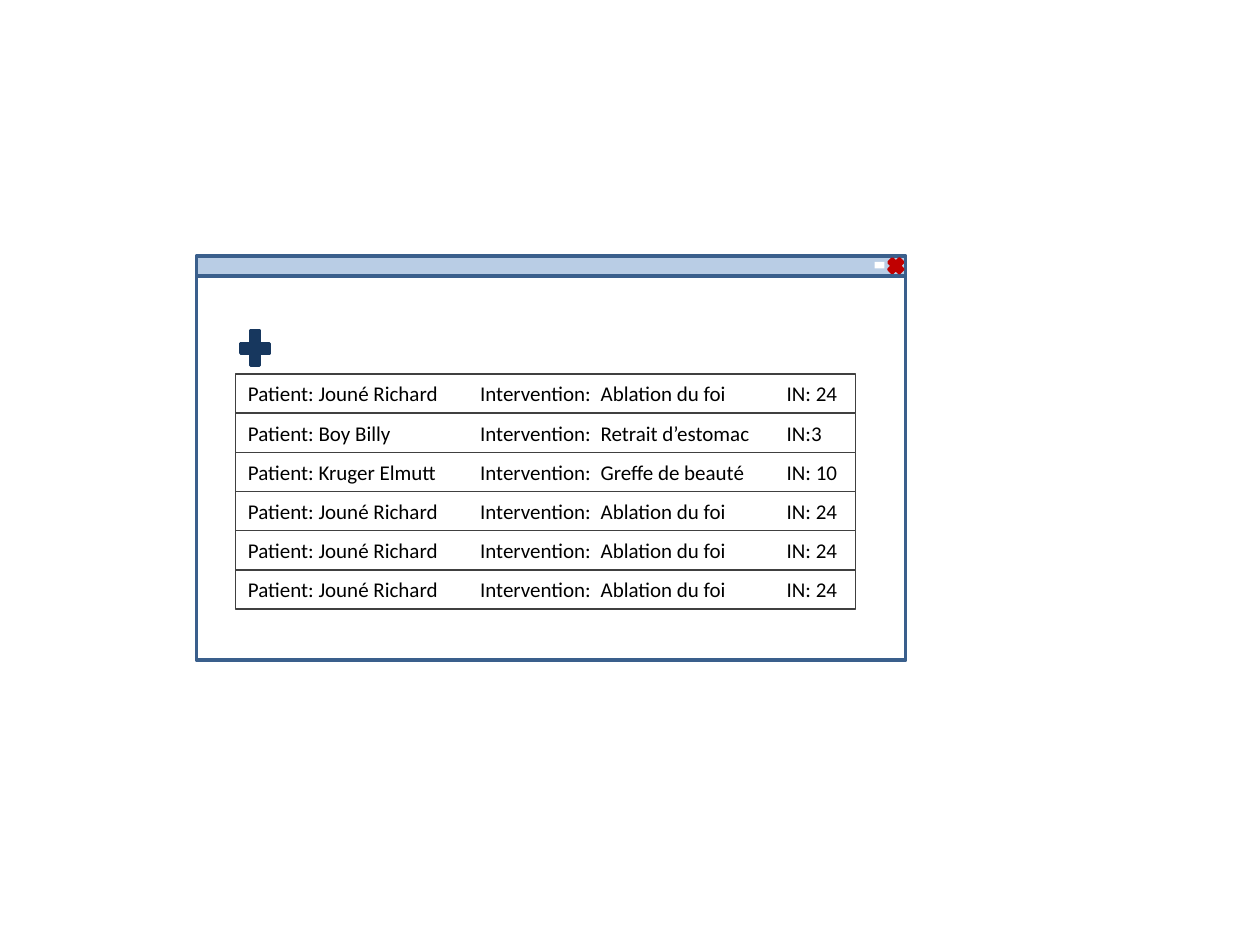
from dataclasses import dataclass
from typing import Optional

from lxml import etree
from pptx import Presentation
from pptx import util as u
from pptx.dml import color
from pptx.enum import shapes, text
from pptx.oxml import ns

KIND = shapes.MSO_SHAPE
NAVY, EDGE, RED, WHITE = "17375E", "3A5F8C", "C00000", "FFFFFF"
ROW_X, ROW_Y, ROW_W, ROW_H = 4.75, 7.54, 12.5, 0.79
TABS = (4.68, 7.11, 10.86)  # from the left edge of the text, in cm


@dataclass
class Part:
    kind: KIND
    x: float
    y: float
    w: float
    h: float
    fill: Optional[str] = None
    line: Optional[str] = None
    width: float = 2


@dataclass
class Case:
    name: str
    act: str
    num: str


def rgb(code: str) -> color.RGBColor:
    return color.RGBColor.from_string(code)


def draw(slide, part: Part):
    box = (u.Cm(n) for n in (part.x, part.y, part.w, part.h))
    shape = slide.shapes.add_shape(part.kind, *box)
    shape.shadow.inherit = False
    if part.fill:
        shape.fill.solid()
        shape.fill.fore_color.rgb = rgb(part.fill)
    else:
        shape.fill.background()
    if part.line:
        shape.line.color.rgb = rgb(part.line)
        shape.line.width = u.Pt(part.width)
    else:
        shape.line.fill.background()
    return shape


def set_tabs(para) -> None:
    tabs = etree.SubElement(para._p.get_or_add_pPr(), ns.qn("a:tabLst"))
    for pos in TABS:
        etree.SubElement(tabs, ns.qn("a:tab"), pos=str(u.Cm(pos)), algn="l")


def draw_case(slide, case: Case, top: float) -> None:
    row = draw(slide, Part(KIND.RECTANGLE, ROW_X, top, ROW_W, ROW_H,
                           WHITE, "404040", 0.75))
    frame = row.text_frame
    frame.word_wrap = True
    frame.vertical_anchor = text.MSO_ANCHOR.MIDDLE
    para = frame.paragraphs[0]
    para.alignment = text.PP_ALIGN.LEFT
    set_tabs(para)
    run = para.add_run()
    run.text = f"Patient: {case.name}\tIntervention:\t{case.act}\t{case.num}"
    run.font.name = "Calibri"
    run.font.size = u.Pt(12)
    run.font.color.rgb = rgb("000000")


def main() -> None:
    deck = Presentation()
    deck.slide_width, deck.slide_height = u.Cm(25.4), u.Cm(19.05)
    slide = deck.slides.add_slide(deck.slide_layouts[6])

    # Patient list
    first = Case("Jouné Richard", "Ablation du foi", "IN: 24")
    cases = [
        first,
        Case("Boy Billy", "Retrait d’estomac", "IN:3"),
        Case("Kruger Elmutt", "Greffe de beauté", "IN: 10"),
        *[first] * 3,
    ]
    for i, case in enumerate(cases):
        draw_case(slide, case, ROW_Y + i * ROW_H)

    # Add button, window frame, title bar, close and minimise buttons
    parts = [
        Part(KIND.MATH_PLUS, 4.75, 6.55, 0.79, 0.94, NAVY, NAVY),
        Part(KIND.RECTANGLE, 3.96, 5.56, 14.3, 7.75, None, EDGE),
        Part(KIND.RECTANGLE, 3.96, 5.16, 14.3, 0.4, "B9CDE5", EDGE),
        Part(KIND.MATH_MULTIPLY, 17.86, 5.16, 0.4, 0.4, RED, RED),
        Part(KIND.RECTANGLE, 17.63, 5.28, 0.2, 0.13, WHITE),
    ]
    for part in parts:
        draw(slide, part)

    deck.save("out.pptx")


if __name__ == "__main__":
    main()
